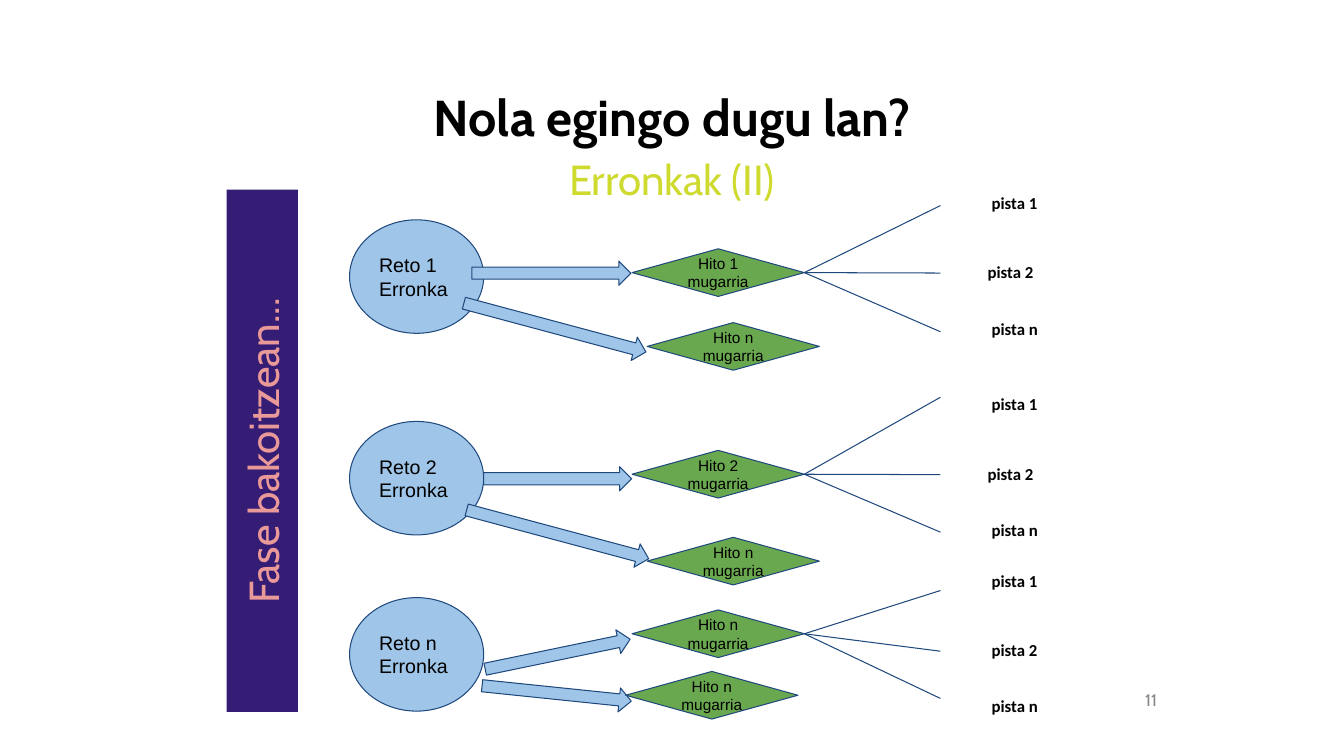
from lxml import etree
from pptx import Presentation
from pptx.dml.color import RGBColor
from pptx.enum.shapes import MSO_CONNECTOR, MSO_SHAPE
from pptx.enum.text import MSO_ANCHOR, PP_ALIGN
from pptx.oxml.ns import qn
from pptx.util import Cm, Pt

LEFT, CENTER, RIGHT = PP_ALIGN.LEFT, PP_ALIGN.CENTER, PP_ALIGN.RIGHT
TOP, MIDDLE = MSO_ANCHOR.TOP, MSO_ANCHOR.MIDDLE
OVAL, DIAMOND = MSO_SHAPE.OVAL, MSO_SHAPE.FLOWCHART_DECISION
ARROW, RECTANGLE = MSO_SHAPE.RIGHT_ARROW, MSO_SHAPE.RECTANGLE
STRAIGHT = MSO_CONNECTOR.STRAIGHT

BLACK = RGBColor(0x00, 0x00, 0x00)
GRAY = RGBColor(0x88, 0x88, 0x88)
LIME = RGBColor(0xCE, 0xDA, 0x2E)
BLUE = RGBColor(0x9F, 0xC5, 0xE8)
NAVY = RGBColor(0x1F, 0x49, 0x7D)
GREEN = RGBColor(0x6A, 0xA8, 0x4F)
PURPLE = RGBColor(0x35, 0x1C, 0x75)
PINK = RGBColor(0xEA, 0x99, 0x99)

# All lengths are in centimetres.
TITLE = "Nola egingo dugu lan?"
SUBTITLE = "Erronkak (II)"
PHASE = "Fase bakoitzean..."
PAGE_NUMBER = "11"
CLUES = ["pista 1", "pista 2", "pista n"]

# arrows: left, top, length, rotation; milestones: name, left, top
CHALLENGES = [
    {"name": "Reto 1", "top": 5.54,
     "arrows": [(11.89, 6.58, 4.01, 0), (11.61, 7.95, 4.75, 15)],
     "milestones": [("Hito 1", 15.93, 6.27), ("Hito n", 16.31, 8.13)],
     "line_ends": [5.18, 6.88, 8.36], "clue_lefts": [24.74, 24.64, 24.74]},
    {"name": "Reto 2", "top": 10.62,
     "arrows": [(12.19, 11.76, 3.73, 0), (11.68, 13.16, 4.75, 15)],
     "milestones": [("Hito 2", 15.93, 11.35), ("Hito n", 16.31, 13.54)],
     "line_ends": [10.01, 11.96, 13.41], "clue_lefts": [24.74, 24.64, 24.74]},
    {"name": "Reto n", "top": 15.06,
     "arrows": [(12.19, 16.18, 3.73, 348.3), (12.14, 17.17, 3.78, 5.9)],
     "milestones": [("Hito n", 15.93, 15.37), ("Hito n", 15.77, 16.92)],
     "line_ends": [14.88, 16.41, 17.6], "clue_lefts": [24.74, 24.74, 24.74]},
]
CHALLENGE_LEFT, CHALLENGE_WIDTH, CHALLENGE_HEIGHT = 8.81, 3.38, 2.86
MILESTONE_WIDTH, MILESTONE_HEIGHT = 4.34, 1.2
ARROW_HEIGHT = 0.61
LINE_END_X = 23.7
CLUE_OFFSETS = [-0.94, 0.81, 2.23]
CLUE_WIDTH, CLUE_HEIGHT = 2.31, 1.02
INSET, TIGHT_INSET = 0.25, 0.13


def write(shape, text, font_name, size, color, align=LEFT, anchor=MIDDLE,
          bold=False, vertical_inset=INSET):
    frame = shape.text_frame
    frame.text = text
    frame.word_wrap = True
    frame.vertical_anchor = anchor
    frame.margin_left = frame.margin_right = Cm(INSET)
    frame.margin_top = frame.margin_bottom = Cm(vertical_inset)
    for paragraph in frame.paragraphs:
        paragraph.alignment = align
        for run in paragraph.runs:
            run.font.name = font_name
            run.font.size = Pt(size)
            run.font.bold = bold
            run.font.color.rgb = color


def add_label(slide, box, *args, **options):
    shape = slide.shapes.add_textbox(*map(Cm, box))
    write(shape, *args, **options)


def add_figure(slide, kind, box, fill, outline=NAVY, rotation=0):
    shape = slide.shapes.add_shape(kind, *map(Cm, box))
    shape.shadow.inherit = False
    shape.rotation = rotation
    shape.fill.solid()
    shape.fill.fore_color.rgb = fill
    if outline is None:
        shape.line.fill.background()
    else:
        shape.line.color.rgb = outline
        shape.line.width = Pt(0.75)
    return shape


def add_line(slide, start, end):
    line = slide.shapes.add_connector(STRAIGHT, *map(Cm, start + end))
    line.line.color.rgb = NAVY
    line.line.width = Pt(0.75)
    etree.SubElement(line._element.spPr, qn("a:effectLst"))


def add_challenge(slide, challenge):
    """Draw one challenge with its arrows, milestones and clues."""
    top = challenge["top"]
    circle = add_figure(slide, OVAL, (CHALLENGE_LEFT, top, CHALLENGE_WIDTH,
                                      CHALLENGE_HEIGHT), BLUE)
    write(circle, challenge["name"] + "\nErronka", "Arial", 14, BLACK)

    for left, arrow_top, length, rotation in challenge["arrows"]:
        add_figure(slide, ARROW, (left, arrow_top, length, ARROW_HEIGHT), BLUE,
                   rotation=rotation)

    for name, left, milestone_top in challenge["milestones"]:
        diamond = add_figure(slide, DIAMOND, (left, milestone_top, MILESTONE_WIDTH,
                                              MILESTONE_HEIGHT), GREEN)
        write(diamond, name + "\nmugarria", "Arial", 11, BLACK, CENTER)

    _, left, milestone_top = challenge["milestones"][0]
    tip = (left + MILESTONE_WIDTH, milestone_top + MILESTONE_HEIGHT / 2)
    for clue, offset, clue_left, end_y in zip(
            CLUES, CLUE_OFFSETS, challenge["clue_lefts"], challenge["line_ends"]):
        add_line(slide, tip, (LINE_END_X, end_y))
        add_label(slide, (clue_left, top + offset, CLUE_WIDTH, CLUE_HEIGHT),
                  clue, "Calibri", 12, BLACK, anchor=TOP, bold=True)


def main():
    presentation = Presentation()
    presentation.slide_width, presentation.slide_height = Cm(33.87), Cm(19.05)
    slide = presentation.slides.add_slide(presentation.slide_layouts[6])

    add_label(slide, (1.7, 2.13, 30.48, 1.6), TITLE, "Cabin", 36, BLACK, CENTER,
              bold=True, vertical_inset=TIGHT_INSET)
    add_label(slide, (1.73, 3.73, 30.4, 1.2), SUBTITLE, "Cabin", 30, LIME, CENTER,
              TOP, vertical_inset=TIGHT_INSET)
    add_label(slide, (21.51, 17.12, 7.9, 1.02), PAGE_NUMBER, "Cabin", 12, GRAY,
              RIGHT, vertical_inset=TIGHT_INSET)

    phase_bar = add_figure(slide, RECTANGLE, (0.03, 10.46, 13.16, 1.8), PURPLE,
                           outline=None, rotation=270)
    write(phase_bar, PHASE, "Cabin", 30, PINK, CENTER)

    for challenge in CHALLENGES:
        add_challenge(slide, challenge)
    presentation.save("out.pptx")


if __name__ == "__main__":
    main()
